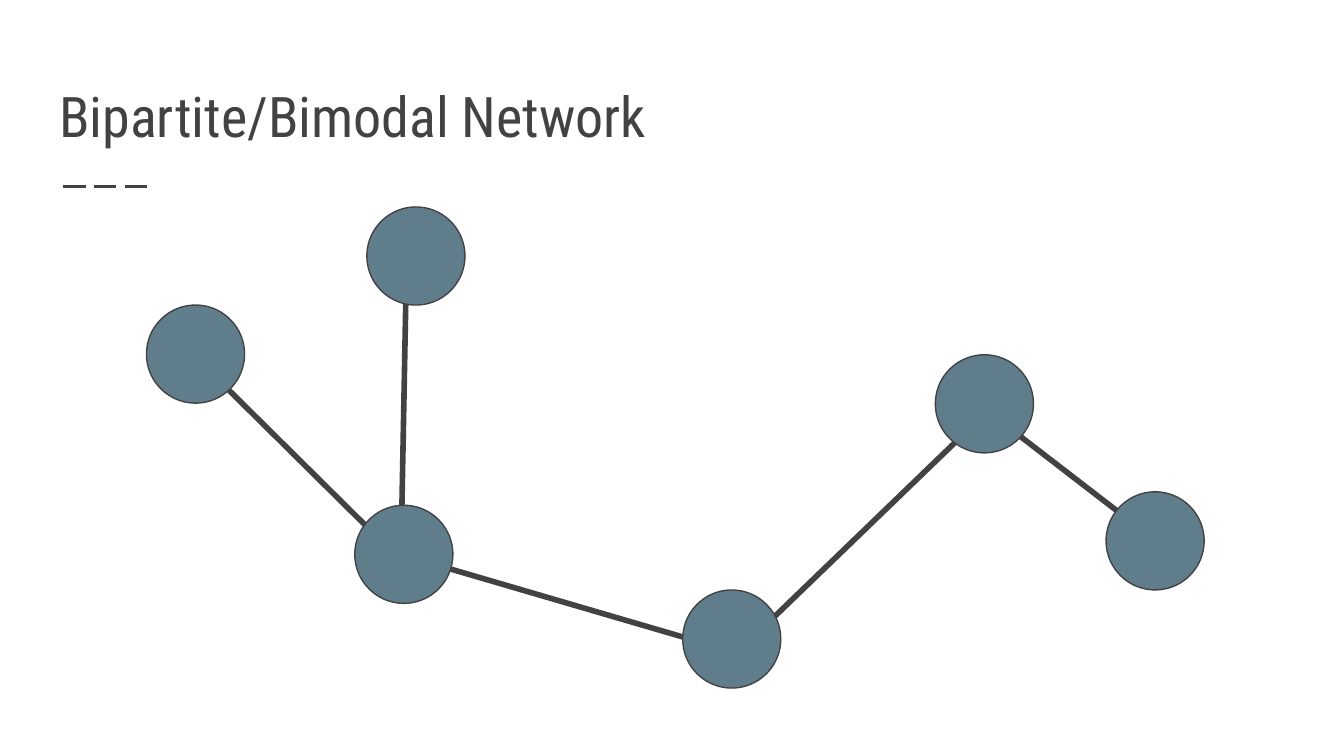
from dataclasses import dataclass

from pptx import Presentation
from pptx.dml.color import RGBColor
from pptx.enum.dml import MSO_LINE
from pptx.enum.shapes import MSO_CONNECTOR, MSO_SHAPE
from pptx.enum.text import MSO_ANCHOR, MSO_AUTO_SIZE, PP_ALIGN
from pptx.oxml.ns import qn
from pptx.util import Inches, Pt


@dataclass(frozen=True)
class Theme:
    background: RGBColor = RGBColor(0xFF, 0xFF, 0xFF)
    ink: RGBColor = RGBColor(0x42, 0x42, 0x42)
    node: RGBColor = RGBColor(0x60, 0x7D, 0x8B)
    font: str = "Roboto Condensed"
    title_size: Pt = Pt(30)
    rule_width: Pt = Pt(1.5)
    edge_width: Pt = Pt(3)
    outline_width: Pt = Pt(0.75)


theme = Theme()


def add_line(page, start, end, width):
    points = [Inches(value) for value in (*start, *end)]
    line = page.shapes.add_connector(MSO_CONNECTOR.STRAIGHT, *points)
    line.line.color.rgb = theme.ink
    line.line.width = width
    properties = line._element.spPr
    properties.append(properties.makeelement(qn("a:effectLst"), {}))
    return line


deck = Presentation()
deck.slide_width = Inches(10)
deck.slide_height = Inches(10 * 9 / 16)
page = deck.slides.add_slide(deck.slide_layouts[5])
page.background.fill.solid()
page.background.fill.fore_color.rgb = theme.background

# Title and the dashed rule below it
title = page.shapes.title
title.left, title.top = Inches(0.34), Inches(0.41)
title.width, title.height = Inches(9.32), Inches(0.8)
frame = title.text_frame
frame.word_wrap = True
frame.auto_size = MSO_AUTO_SIZE.NONE
frame.vertical_anchor = MSO_ANCHOR.BOTTOM
frame.margin_left = frame.margin_right = Inches(0.1)
frame.margin_top = frame.margin_bottom = Inches(0.1)
para = frame.paragraphs[0]
para.alignment = PP_ALIGN.LEFT
span = para.add_run()
span.text = "Bipartite/Bimodal Network"
span.font.name = theme.font
span.font.size = theme.title_size
span.font.color.rgb = theme.ink

rule = add_line(page, (0.47, 1.39), (1.14, 1.39), theme.rule_width)
rule.line.dash_style = MSO_LINE.LONG_DASH

# Edges first, so that the nodes cover their ends
edges = [
    ((1.68, 2.88), (2.73, 3.92)),
    ((3.27, 4.21), (5.15, 4.76)),
    ((3.02, 2.22), (2.99, 3.8)),
    ((5.73, 4.62), (7.14, 3.26)),
    ((7.57, 3.23), (8.31, 3.8)),
]
for start, end in edges:
    add_line(page, start, end, theme.edge_width)

node_size = Inches(0.73)
node_corners = [(1.09, 2.27), (2.73, 1.54), (2.64, 3.76),
                (5.08, 4.39), (6.96, 2.64), (8.23, 3.66)]
for left, top in node_corners:
    node = page.shapes.add_shape(
        MSO_SHAPE.OVAL, Inches(left), Inches(top), node_size, node_size)
    node.shadow.inherit = False
    node.fill.solid()
    node.fill.fore_color.rgb = theme.node
    node.line.color.rgb = theme.ink
    node.line.width = theme.outline_width

deck.save("out.pptx")
